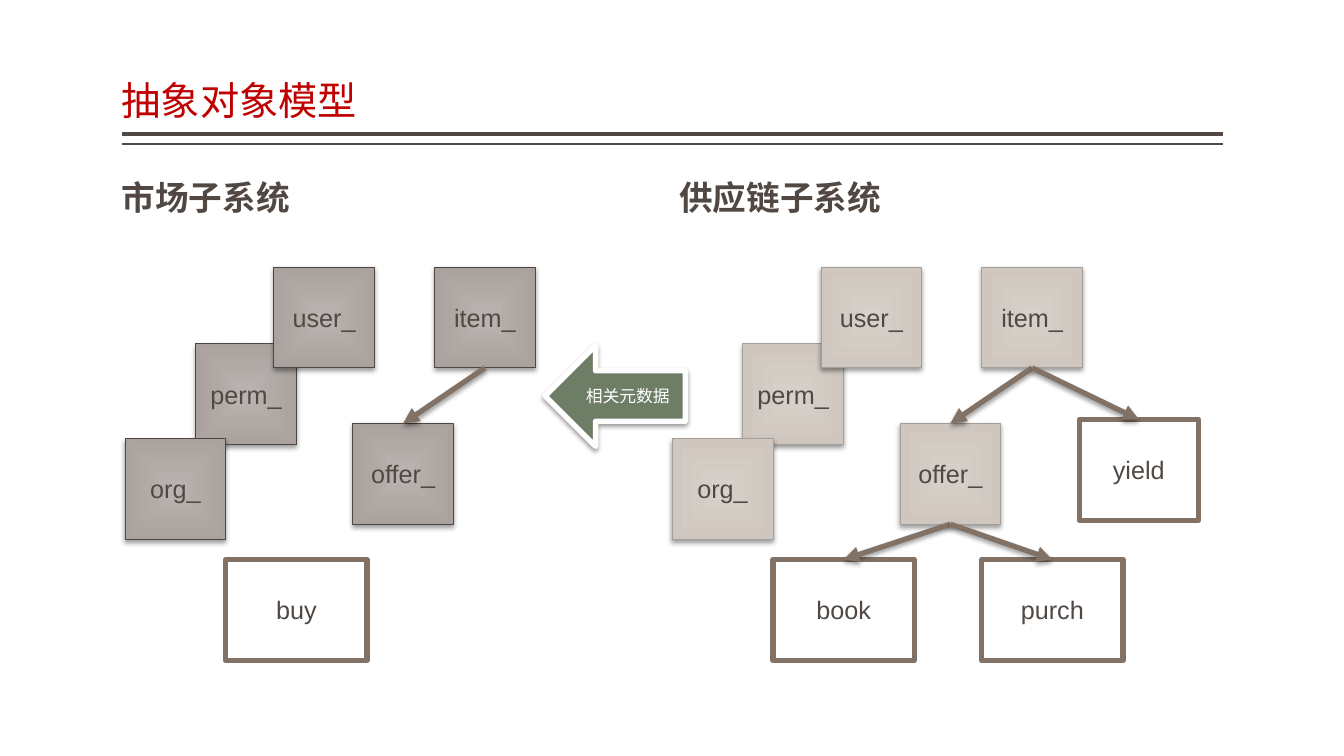
from typing import NamedTuple

from lxml import etree
from pptx import Presentation
from pptx.dml.color import RGBColor
from pptx.enum.shapes import MSO_CONNECTOR, MSO_SHAPE
from pptx.enum.text import MSO_ANCHOR, PP_ALIGN
from pptx.oxml import parse_xml
from pptx.oxml.ns import nsdecls, qn
from pptx.util import Cm, Pt

RECT = MSO_SHAPE.RECTANGLE
LEFT_ARROW = MSO_SHAPE.LEFT_ARROW
STRAIGHT = MSO_CONNECTOR.STRAIGHT
TOP, MIDDLE, BOTTOM = MSO_ANCHOR.TOP, MSO_ANCHOR.MIDDLE, MSO_ANCHOR.BOTTOM
LEFT, CENTER = PP_ALIGN.LEFT, PP_ALIGN.CENTER

INK = RGBColor(0x51, 0x48, 0x43)
RED = RGBColor(0xBF, 0x01, 0x02)
WHITE = RGBColor(0xFF, 0xFF, 0xFF)
BROWN = RGBColor(0x82, 0x72, 0x66)
GREEN = RGBColor(0x6D, 0x7D, 0x66)
DARK_CENTER = RGBColor(0xB9, 0xB4, 0xB1)
DARK_RIM = RGBColor(0xA9, 0xA2, 0x9E)
DARK_LINE = RGBColor(0x50, 0x46, 0x41)
PALE_CENTER = RGBColor(0xD7, 0xD0, 0xCA)
PALE_RIM = RGBColor(0xCF, 0xC7, 0xBF)
PALE_LINE = RGBColor(0xA5, 0x9F, 0x9A)

LATIN, CHINESE = "Arial", "Noto Sans CJK SC"
SIDE = 2.54
TOP_SITE, BOTTOM_SITE = 0, 2


class Tile(NamedTuple):
    name: str
    offset: float
    top: float


class Entity(NamedTuple):
    name: str
    left: float
    top: float
    width: float


class Subsystem(NamedTuple):
    heading: str
    heading_left: float
    left: float
    center: RGBColor
    rim: RGBColor
    line: RGBColor
    entities: tuple[Entity, ...]
    links: tuple[tuple[str, str], ...]


TILES = (
    Tile("item_", 7.8, 6.73),
    Tile("offer_", 5.74, 10.67),
    Tile("perm_", 1.78, 8.66),
    Tile("org_", 0, 11.05),
    Tile("user_", 3.75, 6.73),
)
SUBSYSTEMS = (
    Subsystem("市场子系统", 3.07, 3.15, DARK_CENTER, DARK_RIM, DARK_LINE,
              (Entity("buy", 5.69, 14.1, 3.56),),
              (("item_", "offer_"),)),
    Subsystem("供应链子系统", 17.12, 16.94, PALE_CENTER, PALE_RIM, PALE_LINE,
              (Entity("yield", 27.2, 10.57, 3),
               Entity("purch", 24.74, 14.1, 3.56),
               Entity("book", 19.48, 14.1, 3.56)),
              (("offer_", "book"), ("offer_", "purch"),
               ("item_", "offer_"), ("item_", "yield"))),
)


def write(shape, text: str, size: float, font: str, color: RGBColor,
          align=CENTER, anchor=MIDDLE, bold: bool = False):
    frame = shape.text_frame
    frame.word_wrap = True
    frame.vertical_anchor = anchor
    paragraph = frame.paragraphs[0]
    paragraph.alignment = align
    run = paragraph.add_run()
    run.text = text
    formats = {"size": Pt(size), "name": font, "bold": bold}
    for attribute, value in formats.items():
        setattr(run.font, attribute, value)
    run.font.color.rgb = color
    etree.SubElement(run.font._element, qn("a:ea"), typeface=font)
    return paragraph


def add_heading(slide, text: str, left: float, top: float, width: float,
                height: float, size: float, color: RGBColor, anchor, bold: bool) -> None:
    box = slide.shapes.add_textbox(Cm(left), Cm(top), Cm(width), Cm(height))
    box.text_frame.margin_left = box.text_frame.margin_right = 0
    paragraph = write(box, text, size, CHINESE, color, LEFT, anchor, bold)
    paragraph.line_spacing = 0.9


def add_block(slide, kind, left: float, top: float, width: float, height: float,
              fill: RGBColor, line: RGBColor, line_width: float):
    block = slide.shapes.add_shape(kind, Cm(left), Cm(top), Cm(width), Cm(height))
    block.shadow.inherit = False
    block.fill.solid()
    block.fill.fore_color.rgb = fill
    block.line.color.rgb = line
    block.line.width = Pt(line_width)
    return block


def add_shadow(properties) -> None:
    effects = properties.find(qn("a:effectLst"))
    effects.append(parse_xml(
        f'<a:outerShdw {nsdecls("a")} blurRad="{Pt(3.5)}" dist="{Pt(2)}" '
        'dir="5400000" rotWithShape="0"><a:srgbClr val="000000">'
        '<a:alpha val="38000"/></a:srgbClr></a:outerShdw>'))


def add_tile(slide, tile: Tile, system: Subsystem):
    block = add_block(slide, RECT, system.left + tile.offset, tile.top,
                      SIDE, SIDE, system.center, system.line, 0.5)
    properties = block._element.spPr
    gradient = parse_xml(
        f'<a:gradFill {nsdecls("a")} rotWithShape="1"><a:gsLst>'
        f'<a:gs pos="0"><a:srgbClr val="{system.center}"/></a:gs>'
        f'<a:gs pos="100000"><a:srgbClr val="{system.rim}"/></a:gs></a:gsLst>'
        '<a:path path="rect"><a:fillToRect l="50000" t="50000" r="50000" b="50000"/>'
        '</a:path></a:gradFill>')
    properties.replace(properties.find(qn("a:solidFill")), gradient)
    add_shadow(properties)
    write(block, tile.name, 18, LATIN, INK)
    return block


def add_entity(slide, entity: Entity):
    block = add_block(slide, RECT, entity.left, entity.top, entity.width, SIDE,
                      WHITE, BROWN, 3.78)
    etree.SubElement(block._element.spPr.find(qn("a:ln")), qn("a:round"))
    write(block, entity.name, 18, LATIN, INK)
    return block


def add_line(slide, start: tuple[float, float], end: tuple[float, float],
             color: RGBColor, width: float):
    line = slide.shapes.add_connector(STRAIGHT, *map(Cm, start + end))
    line.line.color.rgb = color
    line.line.width = Pt(width)
    etree.SubElement(line._element.spPr, qn("a:effectLst"))
    return line


def add_link(slide, parent, child) -> None:
    link = add_line(slide, (0, 0), (1, 1), BROWN, 3.78)
    link.begin_connect(parent, BOTTOM_SITE)
    link.end_connect(child, TOP_SITE)
    properties = link._element.spPr
    etree.SubElement(properties.find(qn("a:ln")), qn("a:tailEnd"), type="triangle")
    add_shadow(properties)


def add_subsystem(slide, system: Subsystem) -> None:
    add_heading(slide, system.heading, system.heading_left, 4.45, 13.67, 2.29,
                24, INK, TOP, True)
    nodes = {tile.name: add_tile(slide, tile, system) for tile in TILES}
    nodes |= {entity.name: add_entity(slide, entity) for entity in system.entities}
    for parent, child in system.links:
        add_link(slide, nodes[parent], nodes[child])


def main() -> None:
    deck = Presentation()
    deck.slide_width, deck.slide_height = Cm(33.87), Cm(19.05)
    slide = deck.slides.add_slide(deck.slide_layouts[6])
    for height, weight in ((3.38, 3), (3.63, 1)):
        add_line(slide, (30.81, height), (3.07, height), INK, weight)
    add_heading(slide, "抽象对象模型", 3.07, 0.2, 27.74, 3.05, 28, RED, BOTTOM, False)
    for system in SUBSYSTEMS:
        add_subsystem(slide, system)
    metadata = add_block(slide, LEFT_ARROW, 13.74, 8.71, 3.53, SIDE, GREEN, WHITE, 3.82)
    add_shadow(metadata._element.spPr)
    write(metadata, "相关元数据", 12, CHINESE, WHITE)
    deck.save("out.pptx")


if __name__ == "__main__":
    main()
